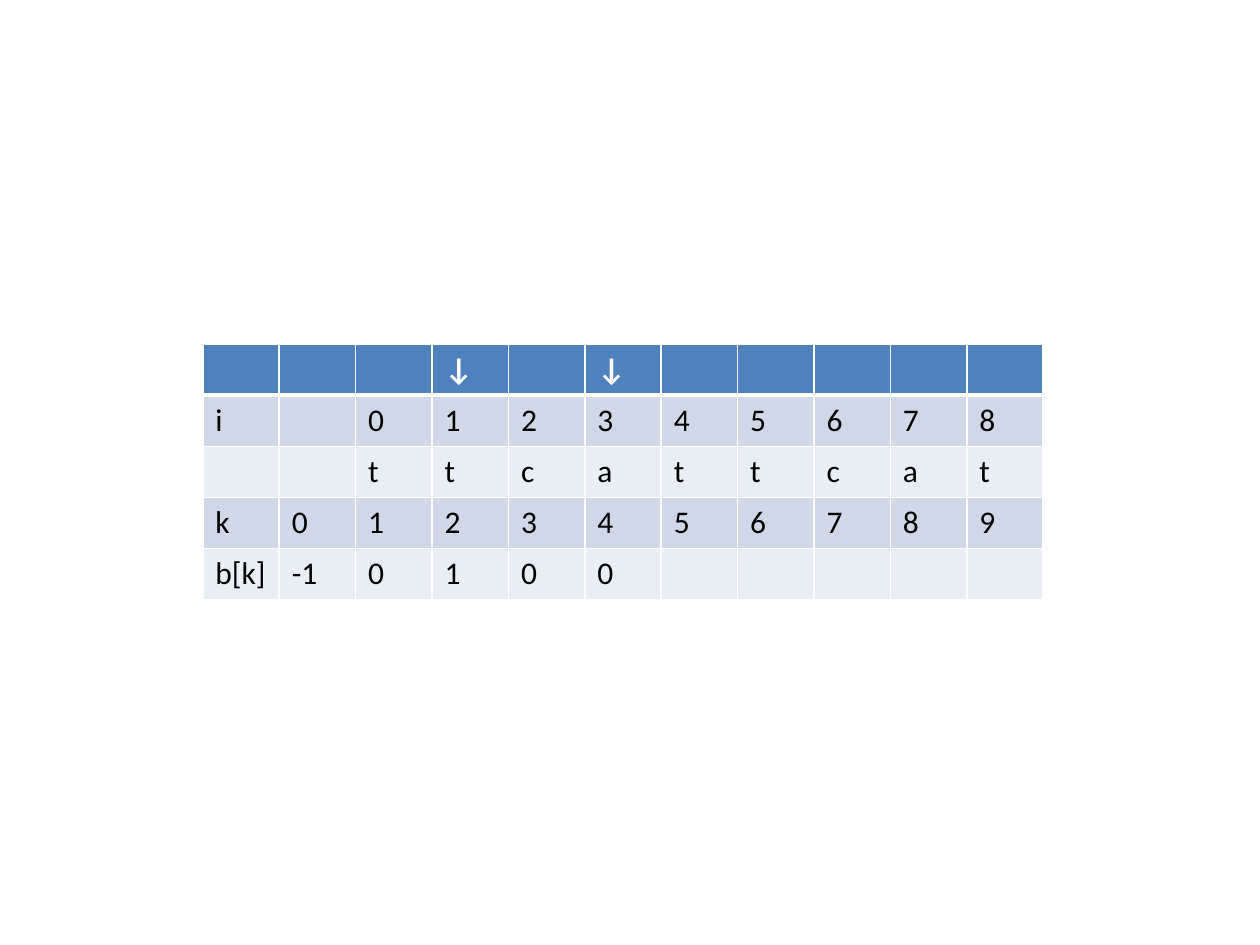
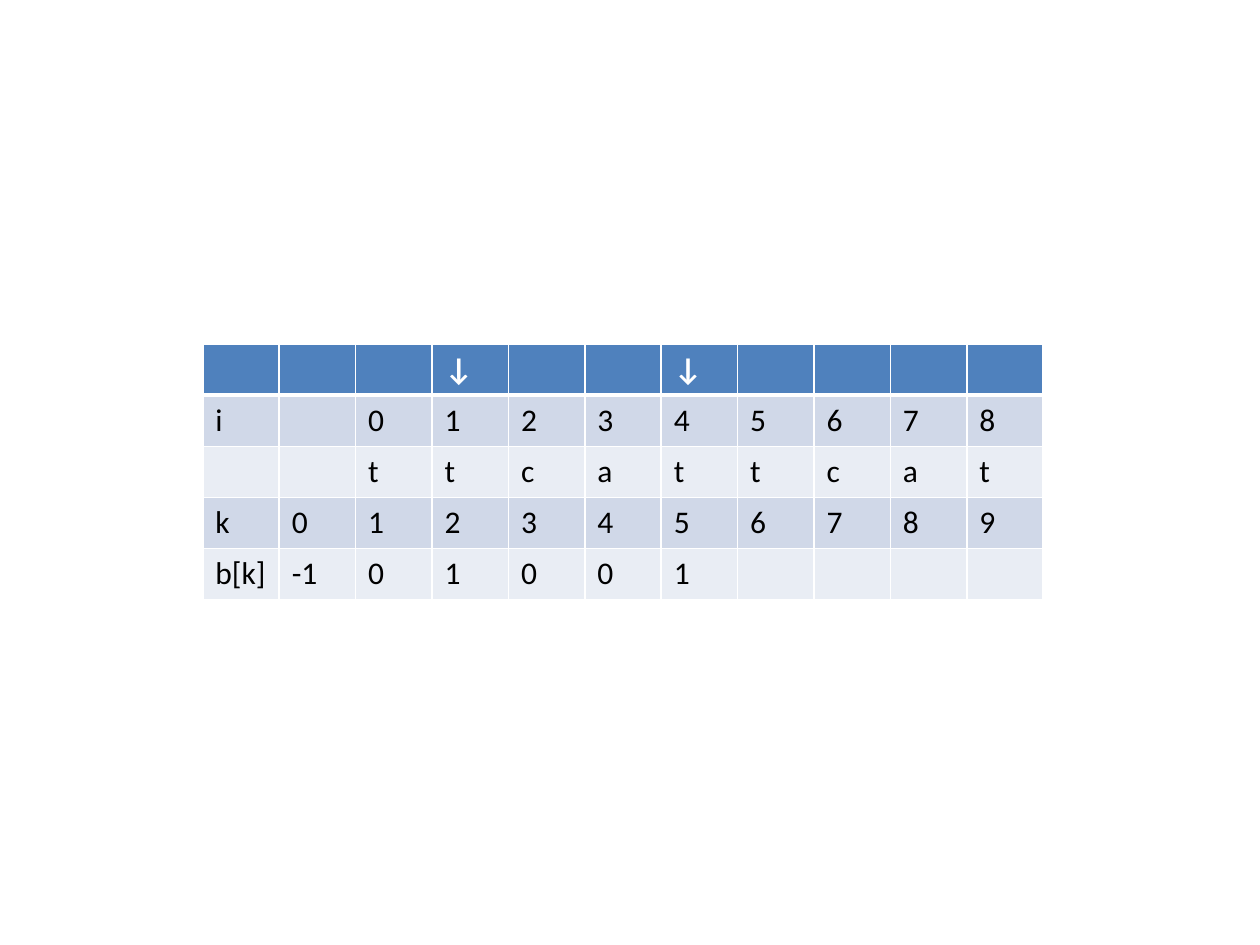
from lxml.etree import SubElement
from pptx import Presentation
from pptx.dml.color import RGBColor
from pptx.oxml.ns import qn
from pptx.util import Inches, Pt

# Content: the string, and for each step its arrow positions and borders so far
PATTERN = "ttcattcat"
STEPS = [
    {"arrows": (1, 3), "borders": (-1, 0, 1, 0, 0)},
    {"arrows": (1, 4), "borders": (-1, 0, 1, 0, 0, 1)},
]

# Shared style
FONT = "Calibri"
FONT_SIZE = Pt(18)
WHITE = RGBColor(0xFF, 0xFF, 0xFF)
BLACK = RGBColor(0x00, 0x00, 0x00)
HEADER_BLUE = RGBColor(0x4F, 0x81, 0xBD)
BANDS = (RGBColor(0xD0, 0xD8, 0xE8), RGBColor(0xE9, 0xED, 0xF4))
LEFT, TOP, WIDTH, HEIGHT = Inches(1.61), Inches(2.73), Inches(6.67), Inches(2.03)
THIN, THICK = Pt(1), Pt(3)


def step_rows(arrows, borders):
    length = len(PATTERN)
    rows = [
        ["", "", *("↓" if i in arrows else "" for i in range(length))],
        ["i", "", *range(length)],
        ["", "", *PATTERN],
        ["k", *range(length + 1)],
        ["b[k]", *borders],
    ]
    return [row + [""] * (length + 2 - len(row)) for row in rows]


def set_borders(cell, top, bottom):
    properties = cell._tc.get_or_add_tcPr()
    for side, width in (("L", THIN), ("R", THIN), ("T", top), ("B", bottom)):
        line = SubElement(properties, qn(f"a:ln{side}"), w=str(width))
        fill = SubElement(line, qn("a:solidFill"))
        SubElement(fill, qn("a:srgbClr"), val=str(WHITE))


def format_cell(cell, text, row):
    header = row == 0
    set_borders(cell, THICK if row == 1 else THIN, THICK if header else THIN)
    cell.fill.solid()
    cell.fill.fore_color.rgb = HEADER_BLUE if header else BANDS[(row - 1) % 2]
    cell.text = str(text)
    for span in cell.text_frame.paragraphs[0].runs:
        span.font.name = FONT
        span.font.size = FONT_SIZE
        span.font.bold = header
        span.font.color.rgb = WHITE if header else BLACK


def add_step_table(page, rows):
    columns = len(rows[0])
    table = page.shapes.add_table(len(rows), columns, LEFT, TOP, WIDTH, HEIGHT).table
    for column in table.columns:
        column.width = WIDTH // columns
    for row in table.rows:
        row.height = HEIGHT // len(rows)
    for r, values in enumerate(rows):
        for c, value in enumerate(values):
            format_cell(table.cell(r, c), value, r)


# Build one slide for each step
deck = Presentation()
deck.slide_width, deck.slide_height = Inches(10), Inches(7.5)
blank = deck.slide_layouts.get_by_name("Blank")
for step in STEPS:
    add_step_table(deck.slides.add_slide(blank), step_rows(**step))
deck.save("out.pptx")
